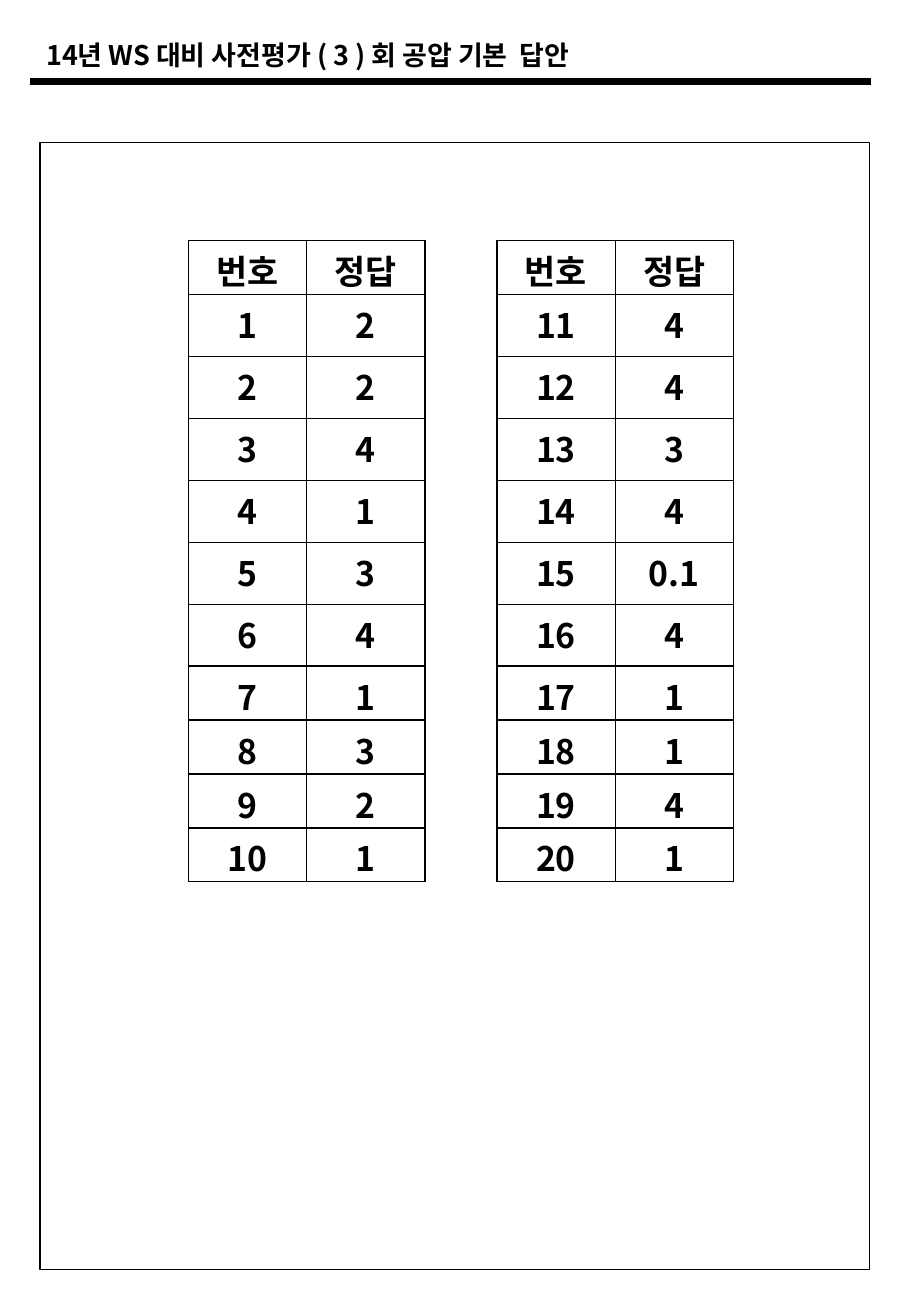
from dataclasses import dataclass

from lxml.etree import SubElement
from pptx import Presentation
from pptx.dml.color import RGBColor
from pptx.enum.shapes import MSO_CONNECTOR as Connector, MSO_SHAPE as Preset
from pptx.enum.text import MSO_ANCHOR as Anchor, MSO_AUTO_SIZE as AutoSize, PP_ALIGN as Align
from pptx.oxml.ns import qn
from pptx.util import Inches, Pt


@dataclass(frozen=True)
class Theme:
    font: str = "Noto Sans CJK KR"
    ink: RGBColor = RGBColor(0, 0, 0)
    title_size: int = 16
    table_size: int = 20
    rule_width: float = 4.5
    frame_width: float = 0.75
    border_width: float = 1


@dataclass(frozen=True)
class AnswerTable:
    left: float
    first_number: int
    answers: tuple[str, ...]


THEME = Theme()
TABLE_TOP, TABLE_WIDTH = 1.98, 1.95
LOW_ROW, TALL_ROW = 0.44, 0.51
ROW_HEIGHTS = [LOW_ROW] + [TALL_ROW] * 6 + [LOW_ROW] * 4
HEADINGS = ("번호", "정답")
ANSWER_TABLES = (
    AnswerTable(1.55, 1, ("2", "2", "4", "1", "3", "4", "1", "3", "2", "1")),
    AnswerTable(4.09, 11, ("4", "4", "3", "4", "0.1", "4", "1", "1", "4", "1")),
)


def style_paragraph(paragraph, size: float, alignment: Align) -> None:
    paragraph.alignment = alignment
    font = paragraph.font
    font.name, font.size, font.bold = THEME.font, Pt(size), True
    font.color.rgb = THEME.ink
    properties = paragraph._p.pPr.find(qn("a:defRPr"))
    SubElement(properties, qn("a:ea"), typeface=THEME.font)


def add_borders(cell) -> None:
    properties = cell._tc.get_or_add_tcPr()
    for position, side in enumerate(("lnL", "lnR", "lnT", "lnB")):
        line = SubElement(properties, qn(f"a:{side}"), w=str(Pt(THEME.border_width)))
        fill = SubElement(line, qn("a:solidFill"))
        SubElement(fill, qn("a:srgbClr"), val=str(THEME.ink))
        properties.insert(position, line)


def fill_cell(cell, text: str) -> None:
    cell.text = text
    cell.margin_top, cell.margin_bottom = Inches(0.04), 0
    cell.vertical_anchor = Anchor.TOP
    cell.fill.background()
    style_paragraph(cell.text_frame.paragraphs[0], THEME.table_size, Align.CENTER)
    add_borders(cell)


def add_answer_table(slide, answer_table: AnswerTable) -> None:
    numbered = enumerate(answer_table.answers, answer_table.first_number)
    rows = [HEADINGS] + [(str(number), answer) for number, answer in numbered]
    table = slide.shapes.add_table(
        len(rows), len(HEADINGS), Inches(answer_table.left), Inches(TABLE_TOP),
        Inches(TABLE_WIDTH), Inches(sum(ROW_HEIGHTS))).table
    table.first_row = table.horz_banding = False
    for row, height, texts in zip(table.rows, ROW_HEIGHTS, rows):
        row.height = Inches(height)
        for cell, text in zip(row.cells, texts):
            fill_cell(cell, text)


def set_title(slide, text: str) -> None:
    title = slide.shapes.title
    title.left, title.top = Inches(0.28), Inches(0.27)
    title.width, title.height = Inches(5.35), Inches(0.37)
    frame = title.text_frame
    frame.text = text
    frame.word_wrap = False
    frame.auto_size = AutoSize.NONE
    frame.vertical_anchor = Anchor.TOP
    style_paragraph(frame.paragraphs[0], THEME.title_size, Align.LEFT)
    frame.paragraphs[0].line_spacing = 1.0
    frame.paragraphs[0].space_before = Pt(0)


def add_rule(slide) -> None:
    rule = slide.shapes.add_connector(
        Connector.STRAIGHT, Inches(0.25), Inches(0.67), Inches(7.17), Inches(0.67))
    rule.line.color.rgb = THEME.ink
    rule.line.width = Pt(THEME.rule_width)
    SubElement(rule._element.spPr, qn("a:effectLst"))


def add_frame(slide) -> None:
    frame = slide.shapes.add_shape(
        Preset.RECTANGLE, Inches(0.33), Inches(1.17), Inches(6.83), Inches(9.28))
    frame.shadow.inherit = False
    frame.fill.background()
    frame.line.color.rgb = THEME.ink
    frame.line.width = Pt(THEME.frame_width)


def main() -> None:
    presentation = Presentation()
    presentation.slide_width, presentation.slide_height = Inches(7.5), Inches(10.83)
    slide = presentation.slides.add_slide(presentation.slide_layouts[5])

    # Heading and page frame
    set_title(slide, "14년 WS 대비 사전평가 ( 3 ) 회 공압 기본  답안")
    add_rule(slide)
    add_frame(slide)

    # Answer key
    for answer_table in ANSWER_TABLES:
        add_answer_table(slide, answer_table)

    presentation.save("out.pptx")


if __name__ == "__main__":
    main()
